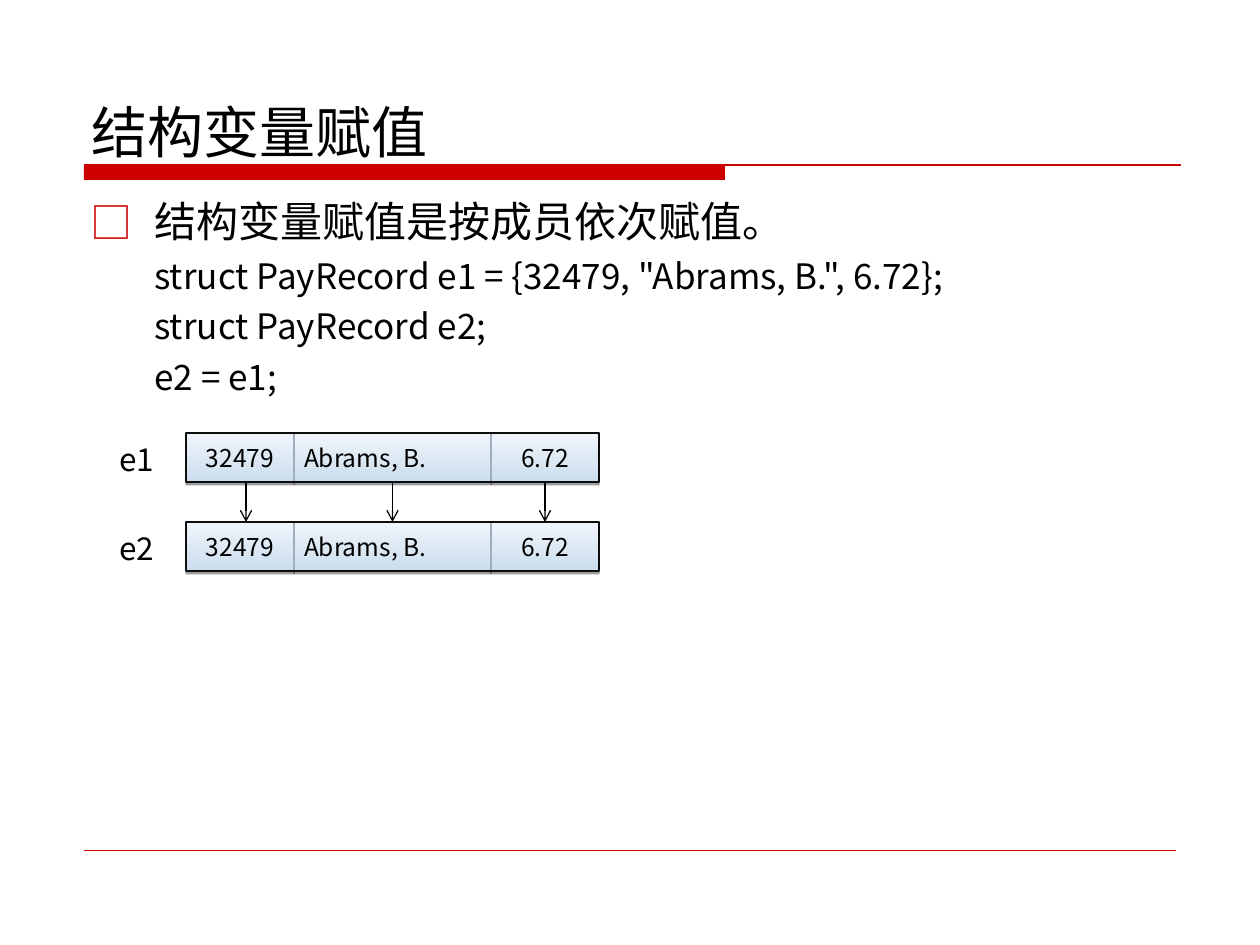
from lxml.etree import SubElement
from pptx import Presentation
from pptx.dml.color import RGBColor
from pptx.enum.shapes import MSO_CONNECTOR, MSO_SHAPE
from pptx.enum.text import MSO_ANCHOR, PP_ALIGN
from pptx.oxml.ns import qn
from pptx.util import Pt

PX = 914400 / 126
FONT = "Noto Sans CJK SC"
RED = RGBColor(0xCC, 0x00, 0x00)
BLACK = RGBColor(0x00, 0x00, 0x00)
FRAME = RGBColor(0x0D, 0x0D, 0x0D)
CELL_EDGE = RGBColor(0x9F, 0xAE, 0xBD)
CELL_DARK = RGBColor(0xCC, 0xDD, 0xEE)
CELL_LIGHT = RGBColor(0xF0, 0xF5, 0xFB)


def emu(*lengths):
    """Turn px into EMU."""
    return [round(n * PX) for n in lengths]


def write(p, text, size, **fmt):
    """Put one run in a paragraph; fmt holds paragraph attributes."""
    r = p.add_run()
    r.text = text
    for name, value in fmt.items():
        setattr(p, name, value)
    for name, value in {"name": FONT, "size": Pt(size)}.items():
        setattr(r.font, name, value)
    r.font.color.rgb = BLACK


prs = Presentation()
prs.slide_width, prs.slide_height = emu(1260, 945)
s = prs.slides.add_slide(prs.slide_layouts[6])
shapes = s.shapes

# Red bar under the title
bar = shapes.add_shape(MSO_SHAPE.RECTANGLE, *emu(84, 165, 641, 15))
bar.shadow.inherit = False
bar.fill.solid()
bar.fill.fore_color.rgb = RED
bar.line.fill.background()

# Title
tf = shapes.add_textbox(*emu(79, 42, 1103, 123)).text_frame
for name, value in {"word_wrap": True, "vertical_anchor": MSO_ANCHOR.BOTTOM,
                    "margin_bottom": 0}.items():
    setattr(tf, name, value)
write(tf.paragraphs[0], "结构变量赋值", 32)

# Body: one bullet and the code below it
tf = shapes.add_textbox(*emu(78, 185, 1103, 645)).text_frame
tf.word_wrap = True
indent = emu(64)[0]
p = tf.paragraphs[0]
pPr = p._p.get_or_add_pPr()
pPr.set("marL", str(indent))
pPr.set("indent", str(-indent))
SubElement(SubElement(pPr, qn("a:buClr")), qn("a:srgbClr"), val=str(RED))
SubElement(pPr, qn("a:buFont"), typeface=FONT)
SubElement(pPr, qn("a:buChar"), char="□")
write(p, "结构变量赋值是按成员依次赋值。", 24, line_spacing=Pt(31))
for code in ('struct PayRecord e1 = {32479, "Abrams, B.", 6.72};',
             "struct PayRecord e2;",
             "e2 = e1;"):
    p = tf.add_paragraph()
    p._p.get_or_add_pPr().set("marL", str(indent))
    write(p, code, 20, space_before=Pt(5), line_spacing=Pt(24))

# The two records
LEFT, CELL_H = 186, 49
ROW_TOPS = {"e1": 433, "e2": 522}
FIELDS = [("32479", 108, PP_ALIGN.CENTER, 0),
          ("Abrams, B.", 197, PP_ALIGN.LEFT, 10),
          ("6.72", 108, PP_ALIGN.CENTER, 0)]
rows = []
for record, top in ROW_TOPS.items():
    cells, x = [], LEFT
    for text, width, align, inset in FIELDS:
        sp = shapes.add_shape(MSO_SHAPE.RECTANGLE, *emu(x, top, width, CELL_H))
        sp.fill.gradient()
        sp.fill.gradient_angle = 90
        for stop, color in zip(sp.fill.gradient_stops, (CELL_DARK, CELL_LIGHT)):
            stop.color.rgb = color
        sp.line.color.rgb = CELL_EDGE
        sp.line.width = Pt(0.75)
        sp.shadow.inherit = False
        shadow = SubElement(sp._element.spPr.find(qn("a:effectLst")), qn("a:outerShdw"),
                            blurRad="0", dist=str(Pt(1.6)), dir="5400000", rotWithShape="0")
        SubElement(SubElement(shadow, qn("a:srgbClr"), val=str(BLACK)),
                   qn("a:alpha"), val="38000")
        tf = sp.text_frame
        for name, value in {"margin_left": emu(inset)[0], "margin_top": 0,
                            "margin_right": 0, "margin_bottom": 0,
                            "vertical_anchor": MSO_ANCHOR.MIDDLE}.items():
            setattr(tf, name, value)
        write(tf.paragraphs[0], text, 14, alignment=align)
        cells.append(sp)
        x += width
    rows.append(cells)

    outline = shapes.add_shape(MSO_SHAPE.RECTANGLE, *emu(LEFT, top, x - LEFT, CELL_H))
    outline.shadow.inherit = False
    outline.fill.background()
    outline.line.color.rgb = FRAME
    outline.line.width = Pt(1.5)

    tf = shapes.add_textbox(*emu(107, top, 60, 50)).text_frame
    tf.word_wrap = False
    write(tf.paragraphs[0], record, 18, line_spacing=Pt(22))

# Rules and member-by-member arrows: ends, colour, width, joined cells, arrowhead
lines = [((84, 165, 1181, 165), RED, 0.75, None, False),
         ((84, 850, 1176, 850), RED, 0.25, None, False)]
y1, y2 = ROW_TOPS["e1"] + CELL_H, ROW_TOPS["e2"]
for x, joined in zip((246, 393, 546), (None, *list(zip(*rows))[1:])):
    lines.append(((x, y1, x, y2), BLACK, 0.75, joined, True))
for ends, color, width, joined, arrow in lines:
    c = shapes.add_connector(MSO_CONNECTOR.STRAIGHT, *emu(*ends))
    if joined:
        c.begin_connect(joined[0], 2)
        c.end_connect(joined[1], 0)
    c.line.color.rgb = color
    c.line.width = Pt(width)
    if arrow:
        SubElement(c.line._get_or_add_ln(), qn("a:tailEnd"), type="arrow")
    SubElement(c._element.spPr, qn("a:effectLst"))

prs.save("out.pptx")
